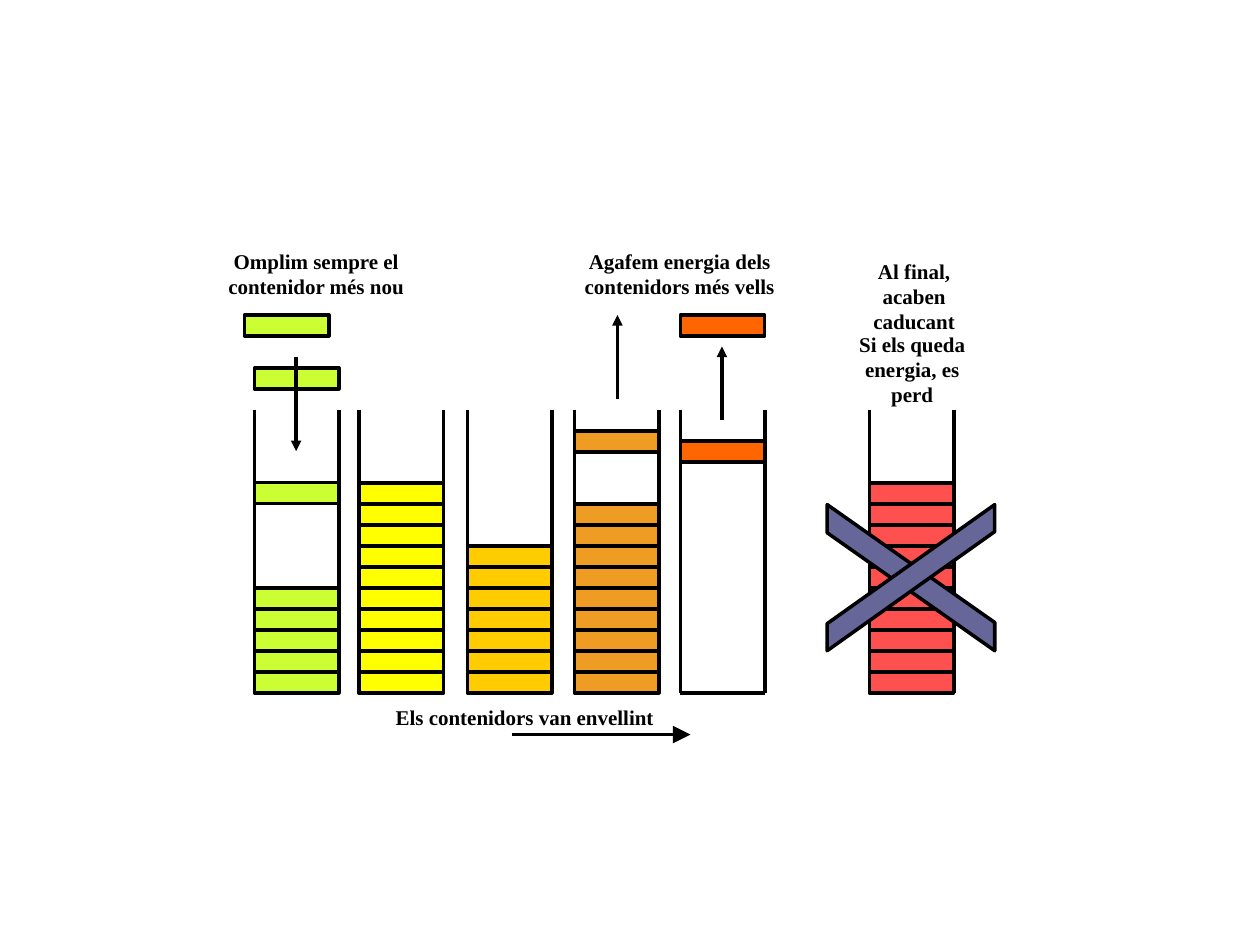
from dataclasses import dataclass

from pptx import Presentation
from pptx.dml.color import RGBColor
from pptx.enum.shapes import MSO_CONNECTOR, MSO_SHAPE
from pptx.enum.text import MSO_AUTO_SIZE, PP_ALIGN
from pptx.oxml.ns import qn
from pptx.oxml.xmlchemy import OxmlElement
from pptx.util import Inches, Pt

RECTANGLE = MSO_SHAPE.RECTANGLE
PARALLELOGRAM = MSO_SHAPE.PARALLELOGRAM
STRAIGHT = MSO_CONNECTOR.STRAIGHT
GROW = MSO_AUTO_SIZE.SHAPE_TO_FIT_TEXT
CENTER = PP_ALIGN.CENTER

BLOCK_WIDTH, BLOCK_HEIGHT = 0.67, 1 / 6
RIM, FLOOR = 3.25, 5.5


@dataclass(frozen=True)
class Theme:
    ink: str = "000000"
    cross: str = "666699"
    font: str = "Times New Roman"
    text_size: float = 12
    line_width: float = 2
    lime: str = "CCFF33"
    yellow: str = "FFFF00"
    amber: str = "FFCC00"
    ochre: str = "EE9C24"
    orange: str = "FF6600"
    red: str = "FF5050"


@dataclass(frozen=True)
class Container:
    left: float
    color: str
    stacked: int
    loose: tuple[tuple[float, float], ...] = ()


@dataclass(frozen=True)
class Arrow:
    start: tuple[float, float]
    end: tuple[float, float]
    head: str = "med"


@dataclass(frozen=True)
class Bar:
    rotation: int
    skew: float
    flipped: bool


@dataclass(frozen=True)
class Label:
    left: float
    top: float
    width: float
    height: float
    lines: tuple[str, ...]


THEME = Theme()

CONTAINERS = (
    Container(2.02, THEME.lime, 5, ((2.02, 3.83), (2.02, 2.92), (1.94, 2.5))),
    Container(2.85, THEME.yellow, 10),
    Container(3.71, THEME.amber, 7),
    Container(4.56, THEME.ochre, 9, ((4.56, 3.42),)),
    Container(5.4, THEME.orange, 0, ((5.4, 3.5), (5.4, 2.5))),
    Container(6.9, THEME.red, 10),
)

CROSS = (Bar(90, 0.807, False), Bar(270, 0.815, True))

ARROWS = (
    Arrow((2.35, 2.83), (2.35, 3.58)),
    Arrow((4.9, 3.17), (4.9, 2.5)),
    Arrow((5.73, 3.33), (5.73, 2.75)),
    Arrow((4.06, 5.83), (5.48, 5.83), "lg"),
)

LABELS = (
    Label(1.71, 1.92, 1.6, 0.5, ("Omplim sempre el", "contenidor més nou")),
    Label(4.54, 1.92, 1.71, 0.5, ("Agafem energia dels", "contenidors més vells")),
    Label(6.6, 2, 1.31, 0.5, ("Al final, acaben", "caducant")),
    Label(6.58, 2.58, 1.32, 0.5, ("Si els queda", "energia, es perd")),
    Label(3.04, 5.54, 2.25, 0.3, ("Els contenidors van envellint",)),
)


def add_filled(page, kind, left: float, top: float, width: float, height: float, color: str):
    """Add an outlined preset shape with a solid fill."""
    shape = page.shapes.add_shape(
        kind, Inches(left), Inches(top), Inches(width), Inches(height)
    )
    shape.shadow.inherit = False
    shape.fill.solid()
    shape.fill.fore_color.rgb = RGBColor.from_string(color)
    shape.line.color.rgb = RGBColor.from_string(THEME.ink)
    shape.line.width = Pt(THEME.line_width)
    return shape


def add_line(page, start: tuple[float, float], end: tuple[float, float]):
    """Add a plain straight line between two points."""
    line = page.shapes.add_connector(STRAIGHT, *map(Inches, start + end))
    line.line.color.rgb = RGBColor.from_string(THEME.ink)
    line.line.width = Pt(THEME.line_width)
    line._element.spPr.append(OxmlElement("a:effectLst"))
    return line


def add_container(page, container: Container) -> None:
    """Draw a container with its stacked and loose energy blocks."""
    stack = [
        (container.left, FLOOR - level * BLOCK_HEIGHT)
        for level in range(1, container.stacked + 1)
    ]
    for left, top in (*stack, *container.loose):
        add_filled(page, RECTANGLE, left, top, BLOCK_WIDTH, BLOCK_HEIGHT, container.color)
    right = container.left + BLOCK_WIDTH
    for wall in (container.left, right):
        add_line(page, (wall, RIM), (wall, FLOOR))
    if not container.stacked:
        add_line(page, (container.left, FLOOR), (right, FLOOR))


def add_bar(page, bar: Bar) -> None:
    """Draw one slanted bar of the cross."""
    shape = add_filled(page, PARALLELOGRAM, 6.65, 3.92, 1.16, 1.33, THEME.cross)
    shape.adjustments[0] = bar.skew
    shape.rotation = bar.rotation
    if bar.flipped:
        shape._element.spPr.find(qn("a:xfrm")).set("flipH", "1")


def add_arrow(page, arrow: Arrow) -> None:
    """Draw a line with a triangular head at its end."""
    line = add_line(page, arrow.start, arrow.end)
    head = OxmlElement("a:tailEnd")
    for name, value in (("type", "triangle"), ("w", arrow.head), ("len", arrow.head)):
        head.set(name, value)
    line.line._get_or_add_ln().append(head)


def add_label(page, label: Label) -> None:
    """Write a centred bold label, one paragraph per line."""
    box = page.shapes.add_textbox(
        Inches(label.left), Inches(label.top), Inches(label.width), Inches(label.height)
    )
    frame = box.text_frame
    frame.word_wrap = False
    frame.auto_size = GROW
    frame.text = "\n".join(label.lines)
    for para in frame.paragraphs:
        para.alignment = CENTER
        para.font.name = THEME.font
        para.font.size = Pt(THEME.text_size)
        para.font.bold = True
        para.font.color.rgb = RGBColor.from_string(THEME.ink)


def main() -> None:
    """Build the energy container slide and save it."""
    deck = Presentation()
    deck.slide_width, deck.slide_height = Inches(10), Inches(7.5)
    page = deck.slides.add_slide(deck.slide_layouts[6])
    for container in CONTAINERS:
        add_container(page, container)
    for bar in CROSS:
        add_bar(page, bar)
    for label in LABELS:
        add_label(page, label)
    for arrow in ARROWS:
        add_arrow(page, arrow)
    deck.save("out.pptx")


if __name__ == "__main__":
    main()
